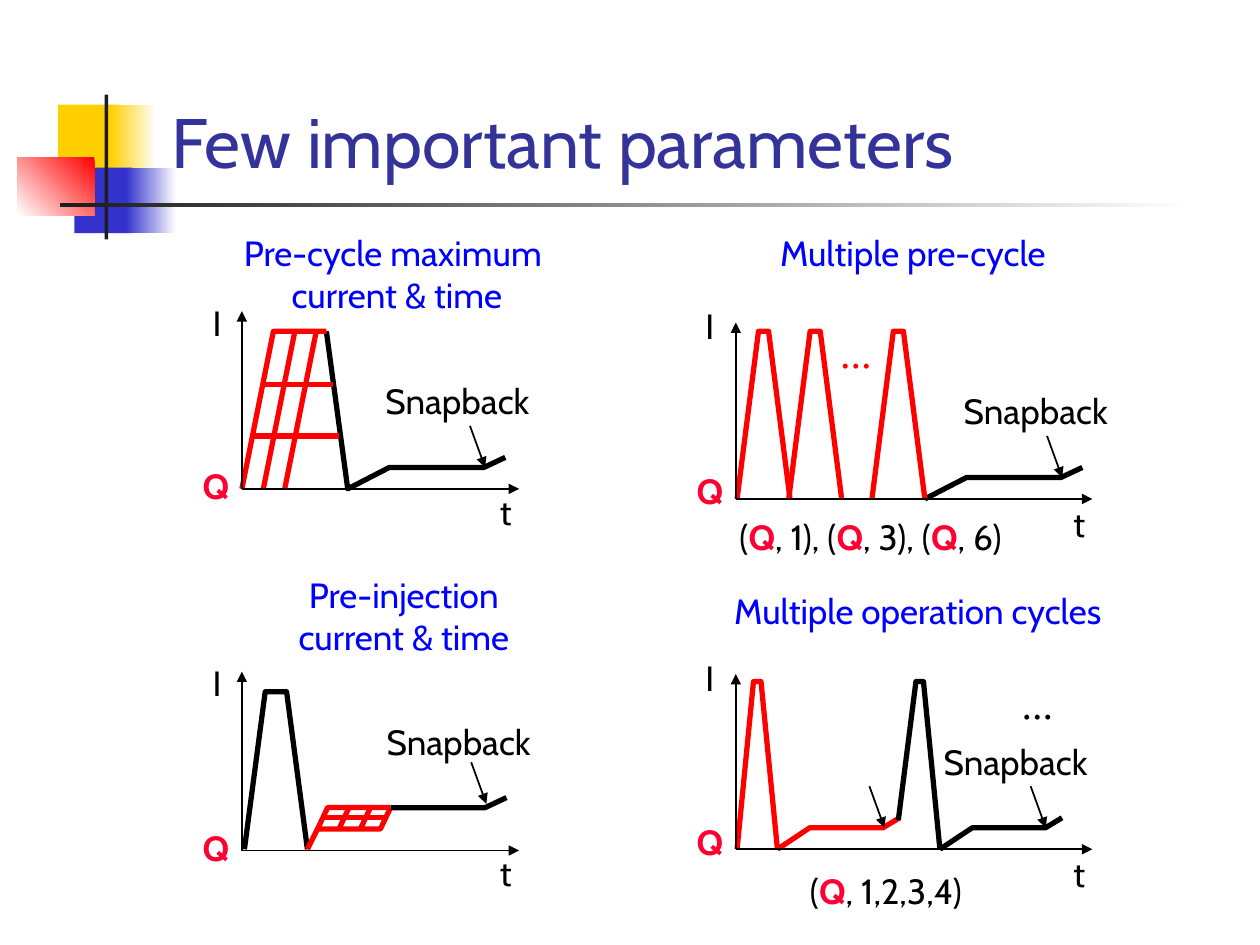
"""Build the slide "Few important parameters" with its four current-time plots."""
from lxml import etree
from pptx import Presentation
from pptx.dml.color import RGBColor
from pptx.enum.shapes import MSO_CONNECTOR, MSO_SHAPE
from pptx.enum.text import MSO_ANCHOR, MSO_AUTO_SIZE, PP_ALIGN
from pptx.oxml.ns import qn
from pptx.util import Cm, Pt

RECTANGLE = MSO_SHAPE.RECTANGLE
STRAIGHT = MSO_CONNECTOR.STRAIGHT
BOTTOM = MSO_ANCHOR.BOTTOM
FIXED, GROW = MSO_AUTO_SIZE.NONE, MSO_AUTO_SIZE.SHAPE_TO_FIT_TEXT
LEFT, CENTER = PP_ALIGN.LEFT, PP_ALIGN.CENTER

WHITE = RGBColor(0xFF, 0xFF, 0xFF)
BLACK = RGBColor(0x00, 0x00, 0x00)
CHARCOAL = RGBColor(0x1C, 0x1C, 0x1C)
YELLOW = RGBColor(0xFF, 0xCF, 0x01)
INDIGO = RGBColor(0x33, 0x33, 0xCC)
NAVY = RGBColor(0x33, 0x33, 0x99)
BLUE = RGBColor(0x00, 0x00, 0xFF)
RED = RGBColor(0xFF, 0x00, 0x00)
CRIMSON = RGBColor(0xFF, 0x00, 0x33)

TITLE = "Few important parameters"
TITLE_BOX = (1.26, 0.25, 8.52, 1.25)
ORNAMENTS = [
    ((0.46, 0.83, 0.48, 0.52), [YELLOW], 0),
    ((0.88, 0.83, 0.36, 0.52), [WHITE, YELLOW], 180),
    ((0.59, 1.33, 0.46, 0.52), [INDIGO], 0),
    ((1, 1.33, 0.4, 0.52), [WHITE, INDIGO], 180),
    ((0.14, 1.25, 0.61, 0.46), [RED, WHITE], 225),
    ((0.83, 0.75, 0.03, 1.15), [CHARCOAL], 0),
    ((0.48, 1.61, 9, 0.03), [WHITE, CHARCOAL], 180),
]
HEADING = {"color": BLUE, "align": CENTER}
DOTS = {"size": 24, "font": "Times New Roman", "wrap": True}
POINTER = (0.12, 0.33)
LEFT_LABELS = {"I": (-0.33, -0.13), "Q": (-0.41, -0.24), "t": (-0.25, -0.04)}
RIGHT_LABELS = {"I": (-0.34, -0.19), "Q": (-0.41, -0.28), "t": (-0.25, -0.02)}


def pulse(left, base, height=1.33, rise=0.17, flat=0.08):
    """Return the corners of a trapezoidal current pulse."""
    peak = base - height
    return [(left, base), (left + rise, peak),
            (left + rise + flat, peak), (left + 2 * rise + flat, base)]


def injection(left, base, scale=1.0):
    """Return the corners of the injection plateau and its snapback."""
    steps = [(0, 0), (0.33, 0.17), (1.08, 0.17), (1.25, 0.25)]
    return [(left + scale * x, base - y) for x, y in steps]


PLOTS = [
    {
        "origin": (1.92, 3.88), "top": 2.47, "end": 4.12, "labels": LEFT_LABELS,
        "texts": [(["Pre-cycle maximum ", "current & time"], (1.73, 1.79, 2.84, 0.77), HEADING),
                  (["Snapback"], (2.96, 2.96, 1.46, 0.43), {})],
        "pointers": [(3.73, 3.38)],
        "curves": [
            (BLACK, [(2.59, 2.63)] + injection(2.76, 3.88)),
            (RED, [(1.92, 3.88), (2.17, 2.63), (2.59, 2.63)]),
            *[(RED, [(x, 3.88), (x + 0.25, 2.63)]) for x in (2.09, 2.26)],
            (RED, [(2.09, 3.05), (2.64, 3.05)]),
            (RED, [(2.01, 3.46), (2.69, 3.46)]),
        ],
    },
    {
        "origin": (1.92, 6.75), "top": 5.33, "end": 4.12, "labels": LEFT_LABELS,
        "texts": [(["Pre-injection", "current & time"], (2.15, 4.5, 2.11, 0.77), HEADING),
                  (["Snapback"], (2.97, 5.67, 1.46, 0.43), {})],
        "pointers": [(3.74, 6.05)],
        "curves": [
            (BLACK, pulse(1.94, 6.74, height=1.25, rise=0.165, flat=0.17)),
            (RED, [(2.44, 6.74), (2.52, 6.58), (3.02, 6.58), (3.1, 6.41)]),
            (BLACK, [(3.1, 6.41), (3.85, 6.41), (4.02, 6.33)]),
            (RED, [(2.52, 6.58), (2.6, 6.41), (3.1, 6.41)]),
            *[(RED, [(x, 6.41), (x - 0.08, 6.58)]) for x in (2.77, 2.94)],
            (RED, [(2.56, 6.49), (3.06, 6.49)]),
        ],
    },
    {
        "origin": (5.84, 3.96), "top": 2.56, "end": 8.67, "labels": RIGHT_LABELS,
        "texts": [(["Multiple pre-cycle"], (5.99, 1.79, 2.51, 0.43), HEADING),
                  (["..."], (6.57, 2.54, 0.46, 0.5), {"color": RED, **DOTS}),
                  (["(Q, 1), (Q, 3), (Q, 6)"], (5.77, 4.04, 2.58, 0.43), {}),
                  (["Snapback"], (7.55, 3.04, 1.46, 0.43), {})],
        "pointers": [(8.31, 3.46)],
        "curves": [
            (BLACK, injection(7.34, 3.96)),
            *[(RED, pulse(x, 3.96)) for x in (5.85, 6.26, 6.92)],
        ],
    },
    {
        "origin": (5.84, 6.74), "top": 5.35, "end": 8.67, "labels": RIGHT_LABELS,
        "texts": [(["Multiple operation cycles"], (5.55, 4.63, 3.47, 0.43), HEADING),
                  (["..."], (8.01, 5.33, 0.46, 0.5), DOTS),
                  (["(Q, 1,2,3,4)"], (6.33, 6.85, 1.6, 0.43), {}),
                  (["Snapback"], (7.39, 5.83, 1.46, 0.43), {})],
        "pointers": [(6.9, 6.24), (8.18, 6.24)],
        "curves": [
            (RED, pulse(5.85, 6.74, rise=0.13, flat=0.06)),
            (RED, injection(6.17, 6.74, scale=0.775)),
            (BLACK, [(7.13, 6.51)] + pulse(7.14, 6.74, rise=0.13, flat=0.06)[1:]),
            (BLACK, injection(7.46, 6.74, scale=0.775)),
        ],
    },
]


def lengths(inches):
    return [Cm(2.54 * value) for value in inches]


def write(frame, lines, *, size=20, font="Cabin", color=BLACK, align=LEFT, wrap=False):
    """Fill a text frame, with every Q bold and crimson."""
    frame.word_wrap = wrap
    frame.auto_size = GROW
    for number, line in enumerate(lines):
        paragraph = frame.add_paragraph() if number else frame.paragraphs[0]
        paragraph.alignment = align
        for part in line.replace("Q", "\nQ\n").split("\n"):
            if part:
                run = paragraph.add_run()
                run.text = part
                run.font.size, run.font.name = Pt(size), font
                run.font.bold = part == "Q"
                run.font.color.rgb = CRIMSON if part == "Q" else color


def add_text(shapes, box, lines, **style):
    write(shapes.add_textbox(*lengths(box)).text_frame, lines, **style)


def add_line(shapes, start, end, color=BLACK, width=1, arrow=True):
    line = shapes.add_connector(STRAIGHT, *lengths(start + end))
    line.line.color.rgb, line.line.width = color, Pt(width)
    if arrow:
        etree.SubElement(line.line._get_or_add_ln(), qn("a:tailEnd"), type="triangle")
    etree.SubElement(line.element.spPr, qn("a:effectLst"))


def add_curve(shapes, color, points):
    if len(points) == 2:
        add_line(shapes, *points, color=color, width=3, arrow=False)
        return
    start, *rest = [lengths(point) for point in points]
    builder = shapes.build_freeform(*start)
    builder.add_line_segments(rest, close=False)
    curve = builder.convert_to_shape()
    curve.shadow.inherit = False
    curve.fill.background()
    curve.line.color.rgb, curve.line.width = color, Pt(3)


def add_ornament(shapes, box, colors, angle):
    ornament = shapes.add_shape(RECTANGLE, *lengths(box))
    ornament.shadow.inherit = False
    ornament.line.fill.background()
    if len(colors) == 1:
        ornament.fill.solid()
        ornament.fill.fore_color.rgb = colors[0]
        return
    ornament.fill.gradient()
    ornament.fill.gradient_angle = angle
    for stop, color in zip(ornament.fill.gradient_stops, colors):
        stop.color.rgb = color


def add_plot(shapes, plot):
    (x, base), top, end = plot["origin"], plot["top"], plot["end"]
    for color, points in plot["curves"]:
        add_curve(shapes, color, points)
    add_line(shapes, (x, base), (x, top))
    add_line(shapes, (x, base), (end, base))
    for left, upper in plot["pointers"]:
        add_line(shapes, (left, upper), (left + POINTER[0], upper + POINTER[1]))
    anchors = {"I": (x, top, 0.3), "Q": (x, base, 0.42), "t": (end, base, 0.3)}
    for label, (left, upper, width) in anchors.items():
        dx, dy = plot["labels"][label]
        add_text(shapes, (left + dx, upper + dy, width, 0.43), [label], wrap=label == "Q")
    for lines, box, style in plot["texts"]:
        add_text(shapes, box, lines, **style)


def main():
    deck = Presentation()
    deck.slide_width, deck.slide_height = lengths((10, 7.5))
    slide = deck.slides.add_slide(deck.slide_layouts[5])
    for ornament in ORNAMENTS:
        add_ornament(slide.shapes, *ornament)
    title = slide.shapes.title
    title.left, title.top, title.width, title.height = lengths(TITLE_BOX)
    write(title.text_frame, [TITLE], size=40, color=NAVY, wrap=True)
    title.text_frame.auto_size = FIXED
    title.text_frame.vertical_anchor = BOTTOM
    title.element.getparent().append(title.element)
    for plot in PLOTS:
        add_plot(slide.shapes.add_group_shape().shapes, plot)
    deck.save("out.pptx")


if __name__ == "__main__":
    main()
